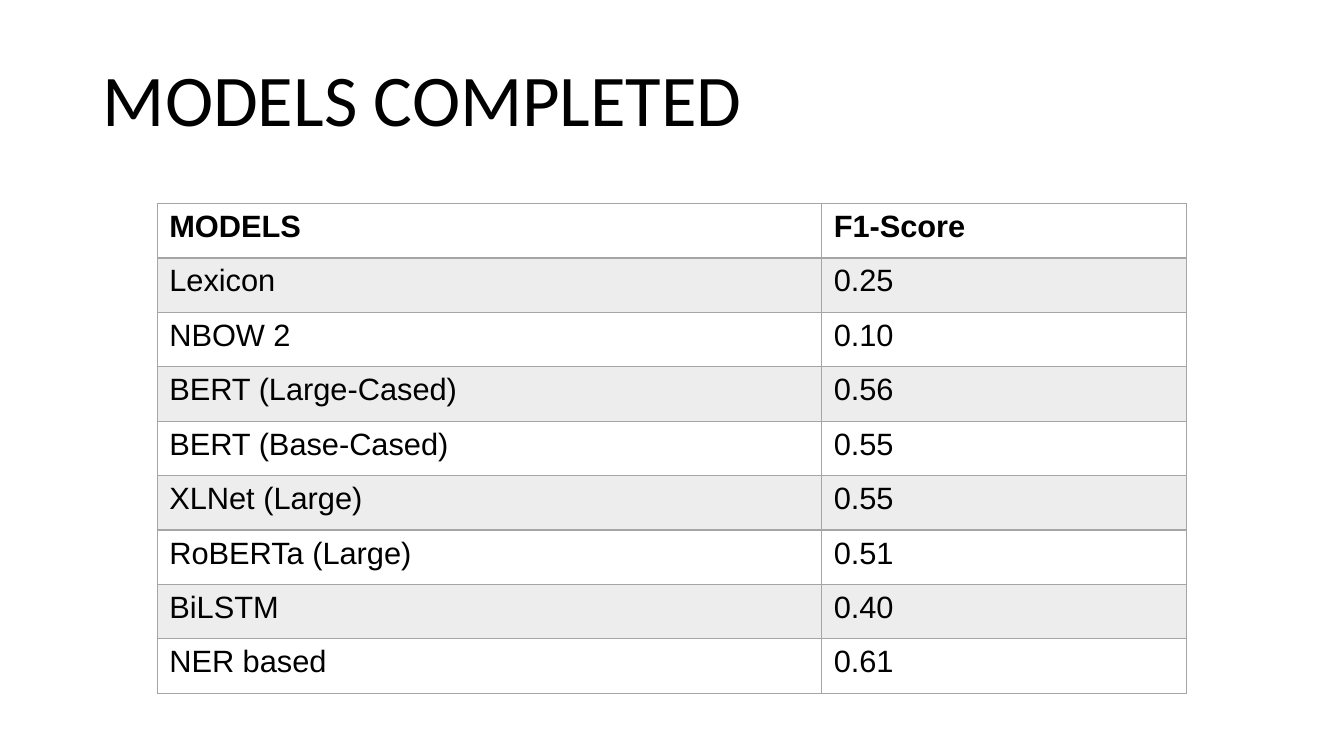
from lxml import etree
from pptx import Presentation
from pptx.dml.color import RGBColor
from pptx.enum.text import MSO_ANCHOR as Anchor, PP_ALIGN as Align
from pptx.oxml.ns import qn
from pptx.util import Inches, Pt

BLACK, GREY, BAND = "000000", "A5A5A5", "EDEDED"
SCORES = [
    ("MODELS", "F1-Score"),
    ("Lexicon", "0.25"),
    ("NBOW 2", "0.10"),
    ("BERT (Large-Cased)", "0.56"),
    ("BERT (Base-Cased)", "0.55"),
    ("XLNet (Large)", "0.55"),
    ("RoBERTa (Large)", "0.51"),
    ("BiLSTM", "0.40"),
    ("NER based", "0.61"),
]


def color(hex_string):
    return RGBColor.from_string(hex_string)


def write_text(frame, text, font="Arial", size=22, bold=False, line_spacing=None):
    paragraph = frame.paragraphs[0]
    paragraph.alignment = Align.LEFT
    paragraph.line_spacing = line_spacing
    run = paragraph.add_run()
    run.text = text
    run.font.name = font
    run.font.size = Pt(size)
    run.font.bold = bold
    run.font.color.rgb = color(BLACK)


def set_borders(cell, **widths):
    """Draw the cell borders; widths are points by side: L, R, T, B."""
    properties = cell._tc.get_or_add_tcPr()
    for side, width in widths.items():
        line = etree.SubElement(properties, qn(f"a:ln{side}"), w=str(Pt(width)))
        fill = etree.SubElement(line, qn("a:solidFill"))
        etree.SubElement(fill, qn("a:srgbClr"), val=GREY)


def add_title(slide, text, left, top, width, height):
    title = slide.shapes.title
    title.left, title.top = Inches(left), Inches(top)
    title.width, title.height = Inches(width), Inches(height)
    frame = title.text_frame
    frame.word_wrap = True
    frame.vertical_anchor = Anchor.MIDDLE
    frame.margin_left = frame.margin_right = Inches(0.1)
    frame.margin_top = frame.margin_bottom = Inches(0.05)
    write_text(frame, text, font="Calibri", size=52, line_spacing=0.9)


def add_score_table(slide, rows, left, top, column_widths, row_height):
    shape = slide.shapes.add_table(
        len(rows), len(column_widths), Inches(left), Inches(top),
        Inches(sum(column_widths)), Inches(row_height * len(rows)))
    table = shape.table
    for column, width in zip(table.columns, column_widths):
        column.width = Inches(width)
    for row_index, values in enumerate(rows):
        table.rows[row_index].height = Inches(row_height)
        for column_index, value in enumerate(values):
            cell = table.cell(row_index, column_index)
            cell.margin_left = cell.margin_right = Inches(0.12)
            cell.margin_top = cell.margin_bottom = Inches(0.06)
            # The rule under the header is thicker than the others
            set_borders(cell, L=1, R=1, T=2 if row_index == 1 else 1,
                        B=2 if row_index == 0 else 1)
            # Every second row is banded
            if row_index % 2:
                cell.fill.solid()
                cell.fill.fore_color.rgb = color(BAND)
            else:
                cell.fill.background()
            write_text(cell.text_frame, value, bold=row_index == 0)


def main():
    presentation = Presentation()
    presentation.slide_width = Inches(13.33)
    presentation.slide_height = Inches(7.5)
    slide = presentation.slides.add_slide(presentation.slide_layouts[5])
    add_title(slide, "MODELS COMPLETED", 0.92, 0.2, 11.5, 1.65)
    add_score_table(slide, SCORES, 1.56, 2.02, (6.59, 3.62), 0.54)
    presentation.save("out.pptx")


if __name__ == "__main__":
    main()
